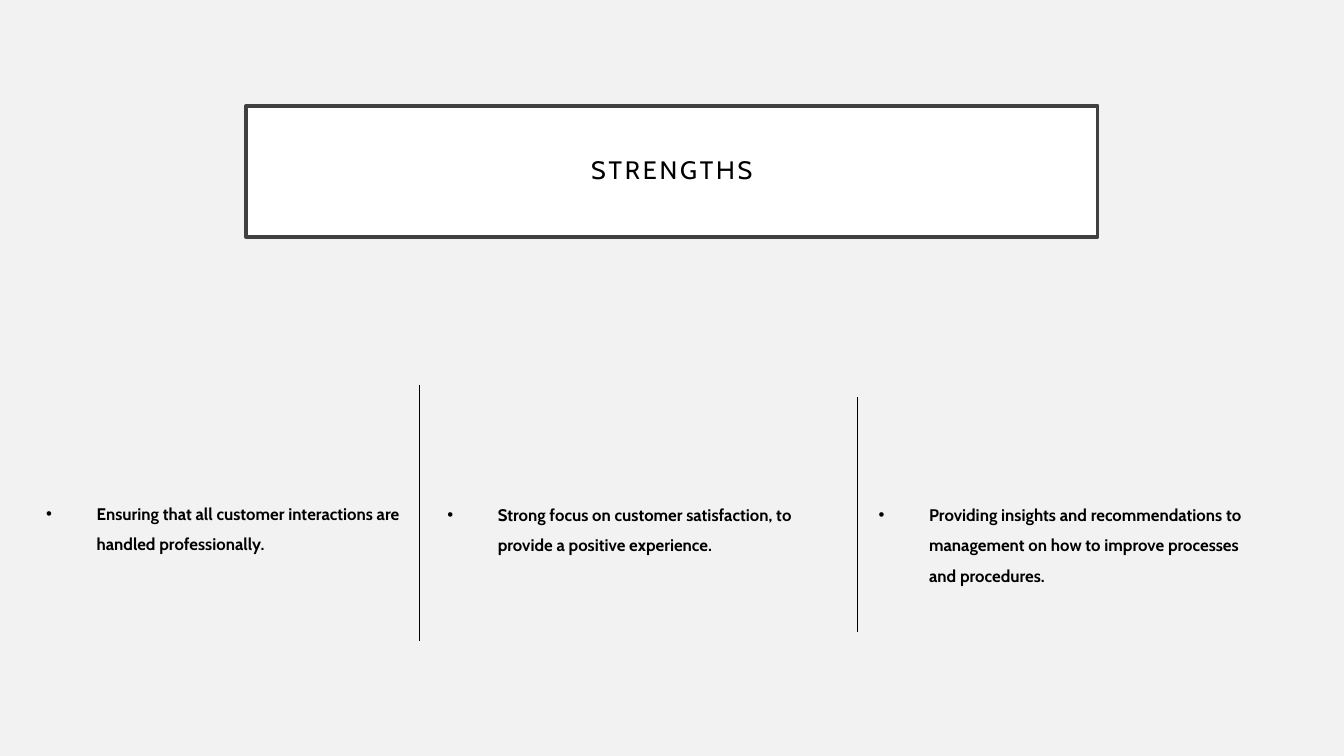
"""Build a slide with a framed title and three strengths split by dividers."""
from lxml.etree import SubElement
from pptx import Presentation
from pptx.dml.color import RGBColor
from pptx.enum.shapes import MSO_CONNECTOR, MSO_SHAPE
from pptx.enum.text import MSO_ANCHOR, MSO_AUTO_SIZE, PP_ALIGN
from pptx.oxml.ns import qn
from pptx.util import Pt

FONT = "Cabin"
STRENGTHS = [
    ((25.9, 349.2, 274.3, 48.2),
     "Ensuring that all customer interactions are handled professionally."),
    ((312.5, 349.9, 280.8, 48.2),
     "Strong focus on customer satisfaction, to provide a positive experience."),
    ((620.6, 349.9, 280.8, 69.8),
     "Providing insights and recommendations to management on how to improve "
     "processes and procedures."),
]
DIVIDERS = [(299.5, 275, 458), (612.7, 283.7, 451.4)]


def color(hex_string):
    """Turn a hex string into a colour."""
    return RGBColor.from_string(hex_string)


def style_font(paragraph, size, bold=False):
    """Set the typeface, size and weight of a paragraph."""
    font = paragraph.font
    font.name = FONT
    font.size = Pt(size)
    font.bold = bold
    font.color.rgb = color("000000")


def add_title(slide, box, text):
    """Add the framed title with letter-spaced text."""
    shape = slide.shapes.add_shape(MSO_SHAPE.RECTANGLE, *map(Pt, box))
    shape.shadow.inherit = False
    shape.fill.solid()
    shape.fill.fore_color.rgb = color("FFFFFF")
    shape.line.color.rgb = color("404040")
    shape.line.width = Pt(2.5)
    frame = shape.text_frame
    frame.word_wrap = True
    frame.vertical_anchor = MSO_ANCHOR.MIDDLE
    frame.margin_left = frame.margin_right = Pt(14.4)
    frame.margin_top = frame.margin_bottom = Pt(14.4)
    paragraph = frame.paragraphs[0]
    paragraph.alignment = PP_ALIGN.CENTER
    paragraph.line_spacing = 0.9
    run = paragraph.add_run()
    run.text = text
    run._r.get_or_add_rPr().set("spc", "200")
    style_font(paragraph, 18)


def add_strength(slide, box, text):
    """Add one bulleted strength with a hanging indent."""
    frame = slide.shapes.add_textbox(*map(Pt, box)).text_frame
    frame.word_wrap = True
    frame.auto_size = MSO_AUTO_SIZE.SHAPE_TO_FIT_TEXT
    paragraph = frame.paragraphs[0]
    paragraph.text = text
    paragraph.line_spacing = 1.5
    properties = paragraph._p.get_or_add_pPr()
    properties.set("marL", str(Pt(36)))
    properties.set("indent", str(Pt(-36)))
    SubElement(properties, qn("a:buFont")).set("typeface", "Arial")
    SubElement(properties, qn("a:buChar")).set("char", "•")
    style_font(paragraph, 12, bold=True)


def add_divider(slide, left, top, bottom):
    """Add a thin vertical line between two strengths."""
    connector = slide.shapes.add_connector(
        MSO_CONNECTOR.STRAIGHT, Pt(left), Pt(top), Pt(left), Pt(bottom))
    connector.line.color.rgb = color("000000")
    connector.line.width = Pt(0.5)
    SubElement(connector._element.spPr, qn("a:effectLst"))


def main():
    """Build and save the presentation."""
    presentation = Presentation()
    presentation.slide_width = Pt(960)
    presentation.slide_height = Pt(540)
    slide = presentation.slides.add_slide(presentation.slide_layouts[6])
    slide.background.fill.solid()
    slide.background.fill.fore_color.rgb = color("F2F2F2")
    add_title(slide, (175.7, 75.6, 608.4, 93.6), "STRENGTHS")
    for box, text in STRENGTHS:
        add_strength(slide, box, text)
    for left, top, bottom in DIVIDERS:
        add_divider(slide, left, top, bottom)
    presentation.save("out.pptx")


if __name__ == "__main__":
    main()
